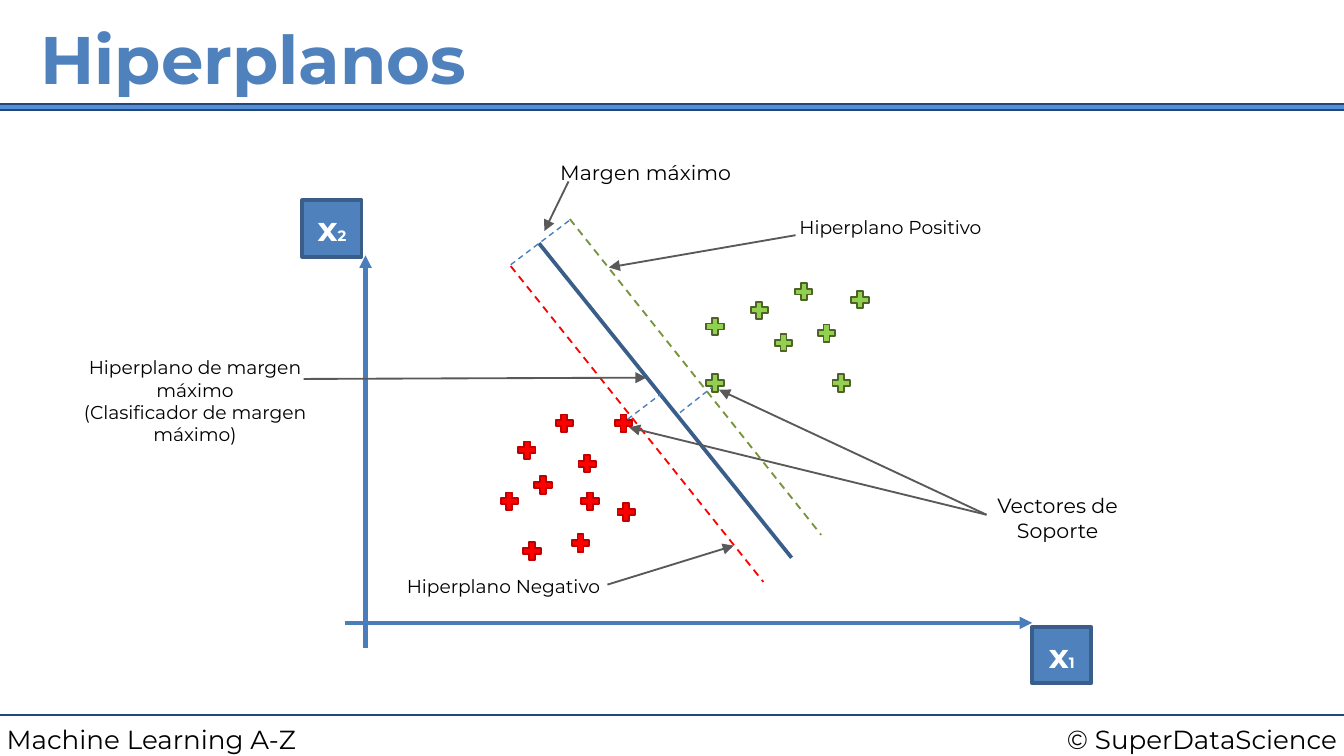
from dataclasses import dataclass

from lxml import etree
from pptx import Presentation
from pptx.dml.color import RGBColor
from pptx.enum.dml import MSO_LINE_DASH_STYLE as DASH
from pptx.enum.shapes import MSO_CONNECTOR, MSO_SHAPE
from pptx.enum.text import MSO_ANCHOR, PP_ALIGN
from pptx.oxml.ns import qn
from pptx.util import Inches, Pt

COLS, ROWS = 100, 56.25


@dataclass(frozen=True)
class Theme:
    font: str = "Montserrat"
    title: int = 36
    symbol: int = 18
    footer: int = 14
    label: int = 11
    small: int = 10
    index: int = 8
    black: str = "000000"
    white: str = "FFFFFF"
    blue: str = "4F81BD"
    band: str = "558ED5"
    navy: str = "1F497D"
    axis: str = "4A7EBB"
    edge: str = "3A5E8A"
    grey: str = "595959"
    olive: str = "77933C"
    red: str = "FF0000"
    dark_red: str = "C00000"
    green: str = "92D050"
    dark_green: str = "4F6228"


class SlideBuilder:
    def __init__(self, prs, theme):
        self.theme = theme
        self.slide = prs.slides.add_slide(prs.slide_layouts[6])
        self.col = prs.slide_width / COLS
        self.row = prs.slide_height / ROWS

    def place(self, x, y, *size):
        w, h = size or (0, 0)
        box = [x * self.col, y * self.row, w * self.col, h * self.row]
        return [round(v) for v in (box if size else box[:2])]

    def line(self, start, end, color, width, dash=False, arrow=False):
        sp = self.slide.shapes.add_connector(
            MSO_CONNECTOR.STRAIGHT, *self.place(*start), *self.place(*end))
        sp.line.color.rgb = RGBColor.from_string(color)
        sp.line.width = Pt(width)
        if dash:
            sp.line.dash_style = DASH.DASH
        if arrow:
            etree.SubElement(sp.line._get_or_add_ln(), qn("a:tailEnd"), type="triangle")
        etree.SubElement(sp._element.spPr, qn("a:effectLst"))

    def pointer(self, start, end):
        self.line(start, end, self.theme.grey, 1, arrow=True)

    def shape(self, kind, box, fill, edge, width):
        sp = self.slide.shapes.add_shape(kind, *self.place(*box))
        sp.shadow.inherit = False
        sp.fill.solid()
        sp.fill.fore_color.rgb = RGBColor.from_string(fill)
        sp.line.color.rgb = RGBColor.from_string(edge)
        sp.line.width = Pt(width)
        return sp

    def cross(self, center, fill, edge):
        x, y = center
        size = 1.3
        sp = self.shape(MSO_SHAPE.CROSS, (x - size / 2, y - size / 2, size, size), fill, edge, 1)
        sp.adjustments[0] = 0.33

    def frame(self, sp, anchor):
        tf = sp.text_frame
        tf.word_wrap = True
        tf.vertical_anchor = anchor
        tf.margin_left = tf.margin_right = tf.margin_top = tf.margin_bottom = Inches(0.05)
        return tf

    def style(self, r, size, color, bold=False):
        r.font.name = self.theme.font
        r.font.size = Pt(size)
        r.font.bold = bold
        r.font.color.rgb = RGBColor.from_string(color)

    def text(self, box, text, size, align=PP_ALIGN.CENTER, color=None, bold=False):
        tf = self.frame(self.slide.shapes.add_textbox(*self.place(*box)), MSO_ANCHOR.TOP)
        tf.text = text
        for p in tf.paragraphs:
            p.alignment = align
            for r in p.runs:
                self.style(r, size, color or self.theme.black, bold)

    def axis_tag(self, x, y, index):
        t = self.theme
        sp = self.shape(MSO_SHAPE.RECTANGLE, (x, y, 4.4, 4.2), t.blue, t.edge, 2)
        p = self.frame(sp, MSO_ANCHOR.MIDDLE).paragraphs[0]
        p.alignment = PP_ALIGN.CENTER
        for text, size in (("x", t.symbol), (index, t.index)):
            r = p.add_run()
            r.text = text
            self.style(r, size, t.white, True)


def main():
    prs = Presentation()
    prs.slide_width = Inches(10)
    prs.slide_height = prs.slide_width * 9 // 16
    t = Theme()
    s = SlideBuilder(prs, t)

    s.line((0, 53.2), (COLS, 53.2), t.navy, 1.5)
    s.text((70.8, 53.3, 29.2, 3.4), "© SuperDataScience", t.footer, PP_ALIGN.RIGHT)
    s.text((0, 53.3, 32.5, 3.4), "Machine Learning A-Z", t.footer, PP_ALIGN.LEFT)
    s.shape(MSO_SHAPE.RECTANGLE, (-0.4, 7.75, 100.8, 0.45), t.band, t.navy, 0.75)
    s.text((2.5, 0.8, 95, 8.1), "Hiperplanos", t.title, PP_ALIGN.LEFT, t.blue, True)

    s.line((27.2, 48.2), (27.2, 19), t.axis, 2.25, arrow=True)
    s.line((25.65, 46.35), (76.8, 46.35), t.axis, 2.25, arrow=True)

    negatives = [(37.9, 37.3), (40.4, 36.1), (43.7, 34.5), (39.2, 33.5), (42, 31.5),
                 (43.9, 37.3), (46.4, 31.5), (43.2, 40.4), (46.6, 38.1), (39.6, 41)]
    positives = [(59.8, 21.7), (61.5, 24.8), (58.3, 25.5), (53.2, 24.3),
                 (62.6, 28.5), (53.2, 28.5), (56.5, 23.1), (64, 22.3)]
    for centers, fill, edge in ((negatives, t.red, t.dark_red),
                                (positives, t.green, t.dark_green)):
        for center in centers:
            s.cross(center, fill, edge)

    s.axis_tag(76.8, 46.65, "1")
    s.axis_tag(22.5, 14.9, "2")

    s.line((40.1, 18.1), (58.9, 41.5), t.edge, 2)
    for start, end in (((46.7, 31.2), (49.2, 29.3)), ((50.6, 30.7), (53, 28.8)),
                       ((38, 19.7), (42.5, 16.3))):
        s.line(start, end, t.axis, 0.75, dash=True)
    s.line((42.4, 16.3), (61.1, 39.8), t.olive, 1, dash=True)
    s.line((38, 19.8), (56.8, 43.3), t.red, 1, dash=True)

    for start, end in (((42.3, 13.5), (40.5, 17.2)), ((73.4, 38.3), (53.5, 29)),
                       ((73.4, 38.3), (46.8, 31.8)), ((22.6, 28.2), (48.1, 28.1)),
                       ((59.2, 17.5), (45.3, 19.9)), ((45.2, 43.5), (54.6, 40.6))):
        s.pointer(start, end)

    for box, text, size in (
            ((3.4, 26, 22.2, 4.3),
             "Hiperplano de margen máximo\n(Clasificador de margen máximo)", t.small),
            ((58.4, 15.6, 15.7, 2.7), "Hiperplano Positivo", t.small),
            ((29.2, 42.3, 16.5, 2.7), "Hiperplano Negativo", t.small),
            ((39.9, 11.4, 16.3, 2.8), "Margen máximo", t.label),
            ((72.2, 36.2, 13, 4.6), "Vectores de Soporte", t.label)):
        s.text(box, text, size)

    prs.save("out.pptx")


if __name__ == "__main__":
    main()
